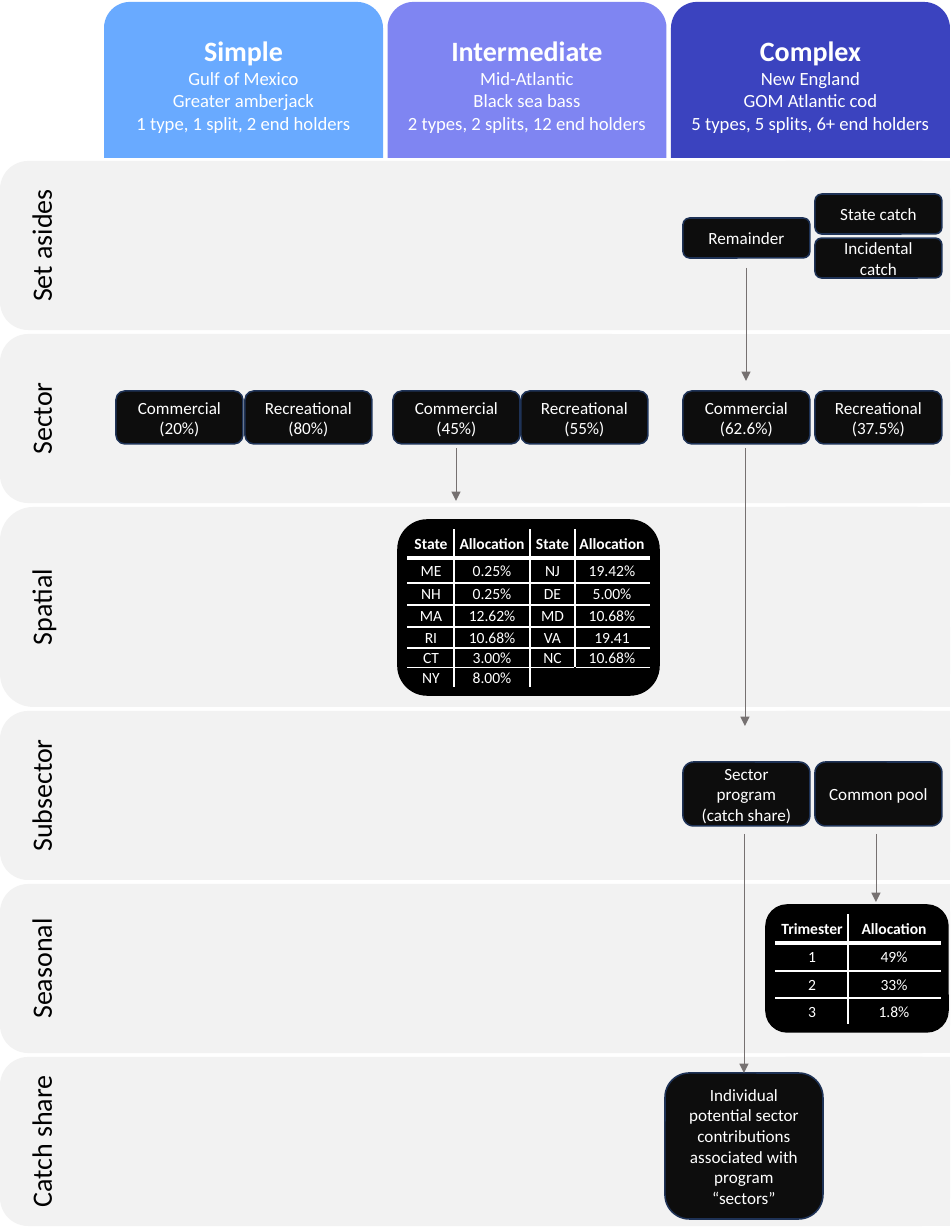
from lxml.etree import SubElement
from pptx import Presentation
from pptx.dml.color import RGBColor
from pptx.enum.shapes import MSO_CONNECTOR as Connector, MSO_SHAPE as Preset
from pptx.enum.text import MSO_ANCHOR as Anchor, PP_ALIGN as Align
from pptx.oxml.ns import qn
from pptx.util import Emu, Pt

SCALE = 914400 / 112
FONT = "Calibri"
WHITE = RGBColor(0xFF, 0xFF, 0xFF)
BLACK = RGBColor(0x00, 0x00, 0x00)
BAND = RGBColor(0xF2, 0xF2, 0xF2)
BOX = RGBColor(0x0D, 0x0D, 0x0D)
BOX_EDGE = RGBColor(0x1E, 0x32, 0x56)
ARROW = RGBColor(0x76, 0x71, 0x71)
SKY = RGBColor(0x69, 0xAA, 0xFF)
VIOLET = RGBColor(0x7F, 0x85, 0xF2)
INDIGO = RGBColor(0x3B, 0x43, 0xBF)

PAGE_WIDTH, PAGE_HEIGHT = 952, 1232
BAND_WIDTH, BAND_GAP = 950, 4
BOX_WIDTH = 127
SECTOR_TOP, SECTOR_HEIGHT = 391, 53
COMPLEX_LEFT, COMPLEX_RIGHT = 683, 815

HEADERS = [
    (SKY, ["Simple", "Gulf of Mexico", "Greater amberjack",
           "1 type, 1 split, 2 end holders"]),
    (VIOLET, ["Intermediate", "Mid-Atlantic", "Black sea bass",
              "2 types, 2 splits, 12 end holders"]),
    (INDIGO, ["Complex", "New England", "GOM Atlantic cod",
              "5 types, 5 splits, 6+ end holders"]),
]
BANDS = [("Set asides", 169), ("Sector", 169), ("Spatial", 200),
         ("Subsector", 169), ("Seasonal", 169), ("Catch share", 169)]
SECTORS = [
    (116, "Commercial (20%)"), (245, "Recreational (80%)"),
    (393, "Commercial (45%)"), (521, "Recreational (55%)"),
    (COMPLEX_LEFT, "Commercial (62.6%)"), (COMPLEX_RIGHT, "Recreational (37.5%)"),
]
STATES = [
    ["State", "Allocation", "State", "Allocation"],
    ["ME", "0.25%", "NJ", "19.42%"],
    ["NH", "0.25%", "DE", "5.00%"],
    ["MA", "12.62%", "MD", "10.68%"],
    ["RI", "10.68%", "VA", "19.41"],
    ["CT", "3.00%", "NC", "10.68%"],
    ["NY", "8.00%", "", ""],
]
TRIMESTERS = [["Trimester", "Allocation"], ["1", "49%"], ["2", "33%"], ["3", "1.8%"]]


def px(length):
    return Emu(round(length * SCALE))


def style(para, size, color, bold=False):
    para.alignment = Align.CENTER
    font = para.font
    font.name, font.size, font.bold = FONT, Pt(size), bold
    font.color.rgb = color


def add_block(shapes, preset, box, fill=None, edge=None):
    block = shapes.add_shape(preset, *map(px, box))
    block.shadow.inherit = False
    if fill is None:
        block.fill.background()
    else:
        block.fill.solid()
        block.fill.fore_color.rgb = fill
    if edge is None:
        block.line.fill.background()
    else:
        block.line.color.rgb = edge
        block.line.width = Pt(1)
    return block


def write(block, lines, sizes, color, anchor=Anchor.MIDDLE, bold_first=False):
    frame = block.text_frame
    frame.word_wrap = True
    frame.vertical_anchor = anchor
    frame.text = "\n".join(lines)
    for index, (para, size) in enumerate(zip(frame.paragraphs, sizes)):
        style(para, size, color, bold_first and index == 0)


def add_header(page, box, color, lines):
    header = add_block(page.shapes, Preset.ROUND_2_SAME_RECTANGLE, box, color)
    write(header, lines, [18, 12, 12, 12], WHITE, bold_first=True)


def add_band(page, box, name):
    left, top, width, height = box
    group = page.shapes.add_group_shape()
    add_block(group.shapes, Preset.ROUNDED_RECTANGLE, box, BAND)
    label_box = (left + 41 - height / 2, top + height / 2 - 25, height, 50)
    label = add_block(group.shapes, Preset.ROUNDED_RECTANGLE, label_box)
    label.rotation = 270
    write(label, [name], [18], BLACK, Anchor.TOP)
    add_block(page.shapes, Preset.RECTANGLE, (left + width - 164, top, 164, height), BAND)


def add_box(page, box, text):
    node = add_block(page.shapes, Preset.ROUNDED_RECTANGLE, box, BOX, BOX_EDGE)
    write(node, [text], [11], WHITE)
    return node


def add_arrow(page, x, top, bottom, target=None):
    arrow = page.shapes.add_connector(Connector.STRAIGHT, px(x), px(top), px(x), px(bottom))
    if target is not None:
        arrow.end_connect(target, 0)
    arrow.line.color.rgb = ARROW
    arrow.line.width = Pt(0.5)
    SubElement(arrow.line._get_or_add_ln(), qn("a:tailEnd"), type="triangle")
    SubElement(arrow._element.spPr, qn("a:effectLst"))


def add_border(cell, side, color, width):
    line = SubElement(cell._tc.get_or_add_tcPr(), qn("a:ln" + side), w=str(Pt(width)))
    SubElement(SubElement(line, qn("a:solidFill")), qn("a:srgbClr"), val=str(color))


def add_table_panel(page, box, rows, widths, heights):
    left, top, _, _ = box
    add_block(page.shapes, Preset.ROUNDED_RECTANGLE, box, BLACK, BLACK)
    grid = page.shapes.add_table(
        len(rows), len(widths), px(left + 10), px(top + 10),
        px(sum(widths)), px(sum(heights))).table
    grid.first_row = grid.horz_banding = False
    for column, width in zip(grid.columns, widths):
        column.width = px(width)
    for row, height in zip(grid.rows, heights):
        row.height = px(height)

    last_row, last_column = len(rows) - 1, len(widths) - 1
    for r, values in enumerate(rows):
        for c, value in enumerate(values):
            cell = grid.cell(r, c)
            cell.text = value
            cell.vertical_anchor = Anchor.MIDDLE
            cell.margin_left = cell.margin_right = cell.margin_top = px(1)
            cell.margin_bottom = 0
            para = cell.text_frame.paragraphs[0]
            style(para, 10, WHITE, r == 0)
            if not value:
                SubElement(para._p, qn("a:endParaRPr"), sz="1000")
            inner = {
                "L": c > 0 and (value or values[c - 1]),
                "R": c < last_column and (value or values[c + 1]),
                "T": r > 0,
                "B": r < last_row,
            }
            for side, shown in inner.items():
                heavy = (r, side) in [(0, "B"), (1, "T")]
                add_border(cell, side, WHITE if shown else BLACK, 3 if heavy else 1)
            cell.fill.solid()
            cell.fill.fore_color.rgb = BLACK


def main():
    deck = Presentation()
    deck.slide_width, deck.slide_height = px(PAGE_WIDTH), px(PAGE_HEIGHT)
    page = deck.slides.add_slide(deck.slide_layouts[6])

    for index, (color, lines) in enumerate(HEADERS):
        add_header(page, (104 + index * 283.5, 2, 279, 156), color, lines)

    top = 161
    for name, height in BANDS:
        add_band(page, (0, top, BAND_WIDTH, height), name)
        top += height + BAND_GAP

    add_box(page, (COMPLEX_LEFT, 218, BOX_WIDTH, 40), "Remainder")
    add_box(page, (COMPLEX_RIGHT, 194, BOX_WIDTH, 40), "State catch")
    add_box(page, (COMPLEX_RIGHT, 238, BOX_WIDTH, 40), "Incidental catch")
    for left, text in SECTORS:
        add_box(page, (left, SECTOR_TOP, BOX_WIDTH, SECTOR_HEIGHT), text)
    add_box(page, (COMPLEX_LEFT, 762, BOX_WIDTH, 64), "Sector program (catch share)")
    add_box(page, (COMPLEX_RIGHT, 762, BOX_WIDTH, 64), "Common pool")
    shares = add_box(
        page, (665, 1073, 158, 146),
        "Individual potential sector contributions associated with program “sectors”")

    add_table_panel(page, (398, 520, 261, 175), STATES,
                    [46, 76, 45, 74], [28, 25, 22, 22, 21, 19, 15])
    add_table_panel(page, (766, 905, 182, 127), TRIMESTERS, [72, 92], [28, 28, 27, 27])

    add_arrow(page, 746, 268, 381)
    add_arrow(page, 456, 448, 501)
    add_arrow(page, 745, 448, 726)
    add_arrow(page, 876, 834, 902)
    add_arrow(page, 744, 834, 1073, shares)

    deck.save("out.pptx")


if __name__ == "__main__":
    main()
